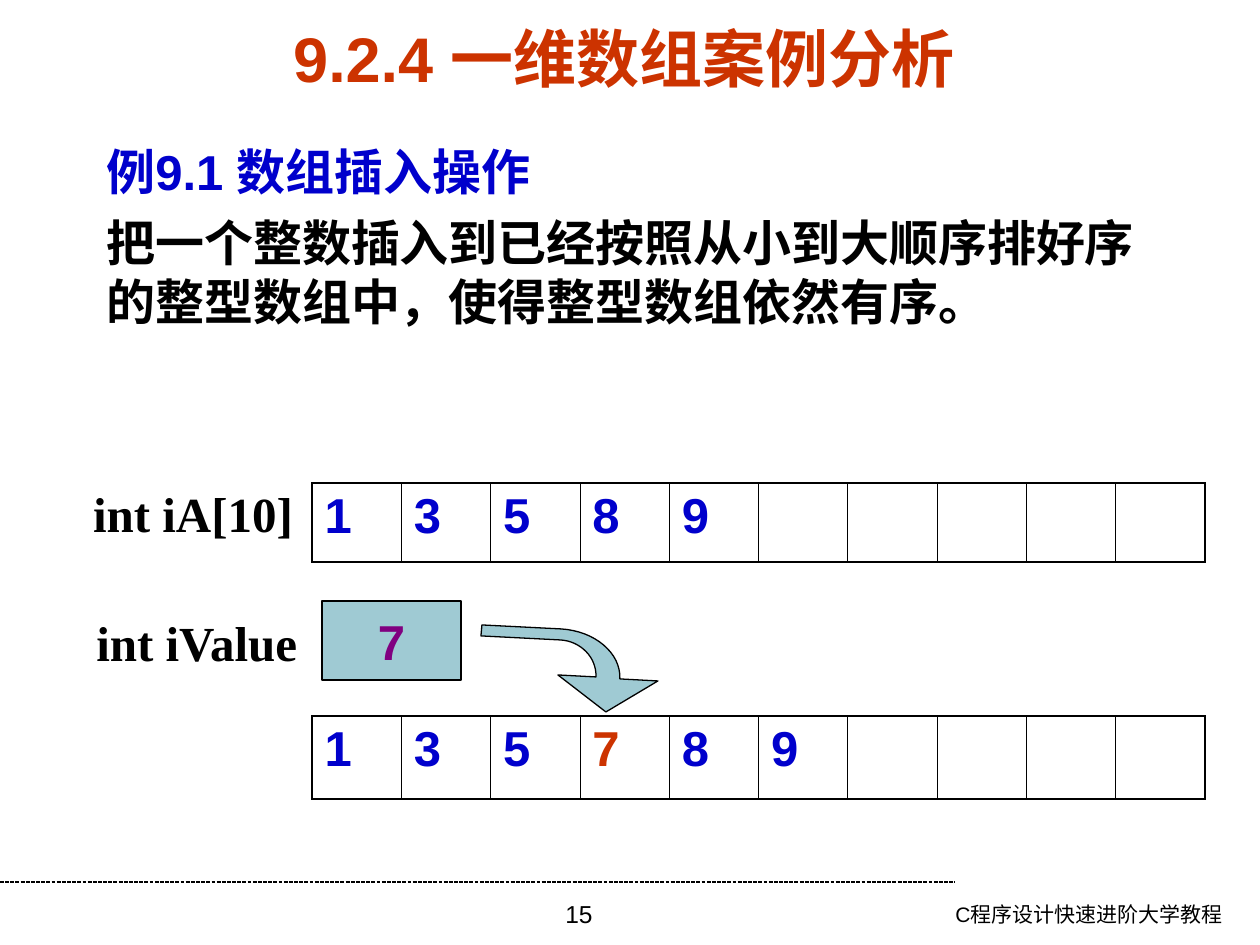
from lxml import etree
from pptx import Presentation
from pptx.dml.color import RGBColor
from pptx.enum.dml import MSO_LINE
from pptx.enum.shapes import MSO_CONNECTOR, MSO_SHAPE
from pptx.enum.text import MSO_ANCHOR, PP_ALIGN
from pptx.oxml.ns import qn
from pptx.util import Emu, Pt

LEFT, CENTER, RIGHT = PP_ALIGN.LEFT, PP_ALIGN.CENTER, PP_ALIGN.RIGHT
TOP, MIDDLE = MSO_ANCHOR.TOP, MSO_ANCHOR.MIDDLE
COLORS = dict(black="000000", red="CC3300", blue="0000CC",
              purple="800080", teal="9FCAD3")
SERIF = "Times New Roman"

# Content: place is left, top, width, height in px
TEXTS = [
    ((828, 895, 407, 49), ["C程序设计快速进阶大学教程"], dict(size=12, align=RIGHT)),
    ((432, 893, 294, 52), ["15"], dict(size=14, align=CENTER)),
    ((54, 26, 1140, 63), ["9.2.4 一维数组案例分析"],
     dict(size=36, bold=True, color="red", align=CENTER, anchor=MIDDLE)),
    ((94, 135, 1101, 725),
     ["例9.1 数组插入操作",
      "把一个整数插入到已经按照从小到大顺序排好序的整型数组中，使得整型数组依然有序。"],
     dict(bold=True, color=("blue", "black"), before=7)),
    ((73, 473, 240, 79), ["int iA[10]"],
     dict(bold=True, font=SERIF, align=CENTER, anchor=MIDDLE, wrap=False)),
    ((84, 606, 267, 72), ["int iValue"],
     dict(bold=True, font=SERIF, anchor=MIDDLE, wrap=False)),
]
ARRAYS = [
    ((312, 483, 893, 79), "13589", None),
    ((312, 716, 893, 83), "135789", "7"),
]
ARRAY_LENGTH = 10
VALUE_BOX = (322, 601, 139, 79)
# Arrow outline: a pair is a corner, three pairs are a cubic curve
ARROW = [
    (606, 712), (658, 681), (620, 679),
    ((621, 653), (595, 631), (561, 629)),
    (482, 625), (481, 636), (560, 640),
    ((581, 641), (597, 658), (596, 677)),
    (558, 675),
]
CURVE_STEPS = 16


def px(length):
    return Emu(round(length * 914400 / 126))


def rgb(name):
    return RGBColor.from_string(COLORS[name])


def write(frame, lines, size=28, font="Arial", color="black", bold=False,
          align=LEFT, anchor=TOP, before=0, wrap=True):
    frame.word_wrap = wrap
    frame.vertical_anchor = anchor
    colors = [color] * len(lines) if isinstance(color, str) else color
    for index, (line, tint) in enumerate(zip(lines, colors)):
        para = frame.add_paragraph() if index else frame.paragraphs[0]
        para.alignment = align
        para.space_before = Pt(before)
        span = para.add_run()
        span.text = line
        span.font.size, span.font.name, span.font.bold = Pt(size), font, bold
        span.font.color.rgb = rgb(tint)


def paint(shape):
    shape.shadow.inherit = False
    shape.fill.solid()
    shape.fill.fore_color.rgb = rgb("teal")
    shape.line.color.rgb = rgb("black")
    shape.line.width = Pt(0.75)


def set_borders(cell, widths):
    properties = cell._tc.get_or_add_tcPr()
    for index, (side, width) in enumerate(widths.items()):
        line = etree.Element(qn(f"a:ln{side}"), w=str(Pt(width)))
        fill = etree.SubElement(line, qn("a:solidFill"))
        etree.SubElement(fill, qn("a:srgbClr"), val=COLORS["black"])
        properties.insert(index, line)


def add_array(page, place, digits, inserted):
    frame = page.shapes.add_table(1, ARRAY_LENGTH, *map(px, place))
    table = frame.table
    table.first_row = table.horz_banding = False
    for index, cell in enumerate(table.rows[0].cells):
        table.columns[index].width = px(place[2] / ARRAY_LENGTH)
        cell.fill.background()
        set_borders(cell, dict(L=0.45 if index else 1.08,
                               R=0.45 if index < ARRAY_LENGTH - 1 else 1.08,
                               T=1.08, B=1.08))
        if index < len(digits):
            digit = digits[index]
            write(cell.text_frame, [digit], bold=True, before=7,
                  color="red" if digit == inserted else "blue")


def outline(segments):
    points = []
    for segment in segments:
        if isinstance(segment[0], tuple):
            curve = (points[-1], *segment)
            for step in range(1, CURVE_STEPS + 1):
                t = step / CURVE_STEPS
                weights = ((1 - t) ** 3, 3 * t * (1 - t) ** 2,
                           3 * t ** 2 * (1 - t), t ** 3)
                points.append(tuple(sum(w * p[axis] for w, p in zip(weights, curve))
                                    for axis in (0, 1)))
        else:
            points.append(segment)
    return [(px(x), px(y)) for x, y in points]


def main():
    deck = Presentation()
    deck.slide_width, deck.slide_height = px(1260), px(945)
    page = deck.slides.add_slide(deck.slide_layouts[6])

    # Footer rule
    rule = page.shapes.add_connector(MSO_CONNECTOR.STRAIGHT,
                                     px(0), px(882), px(955), px(882))
    rule.line.color.rgb = rgb("black")
    rule.line.width = Pt(0.75)
    rule.line.dash_style = MSO_LINE.SQUARE_DOT
    etree.SubElement(rule._element.spPr, qn("a:effectLst"))

    # Footer, title, body and labels
    for place, lines, style in TEXTS:
        box = page.shapes.add_textbox(*map(px, place))
        write(box.text_frame, lines, **style)

    # Array before and after the insertion
    for place, digits, inserted in ARRAYS:
        add_array(page, place, digits, inserted)

    # Value to insert and its arrow
    value = page.shapes.add_shape(MSO_SHAPE.RECTANGLE, *map(px, VALUE_BOX))
    paint(value)
    write(value.text_frame, ["7"], bold=True, color="purple",
          align=CENTER, anchor=MIDDLE, wrap=False)
    start, *rest = outline(ARROW)
    builder = page.shapes.build_freeform(*start)
    builder.add_line_segments(rest, close=True)
    paint(builder.convert_to_shape())

    deck.save("out.pptx")


if __name__ == "__main__":
    main()
